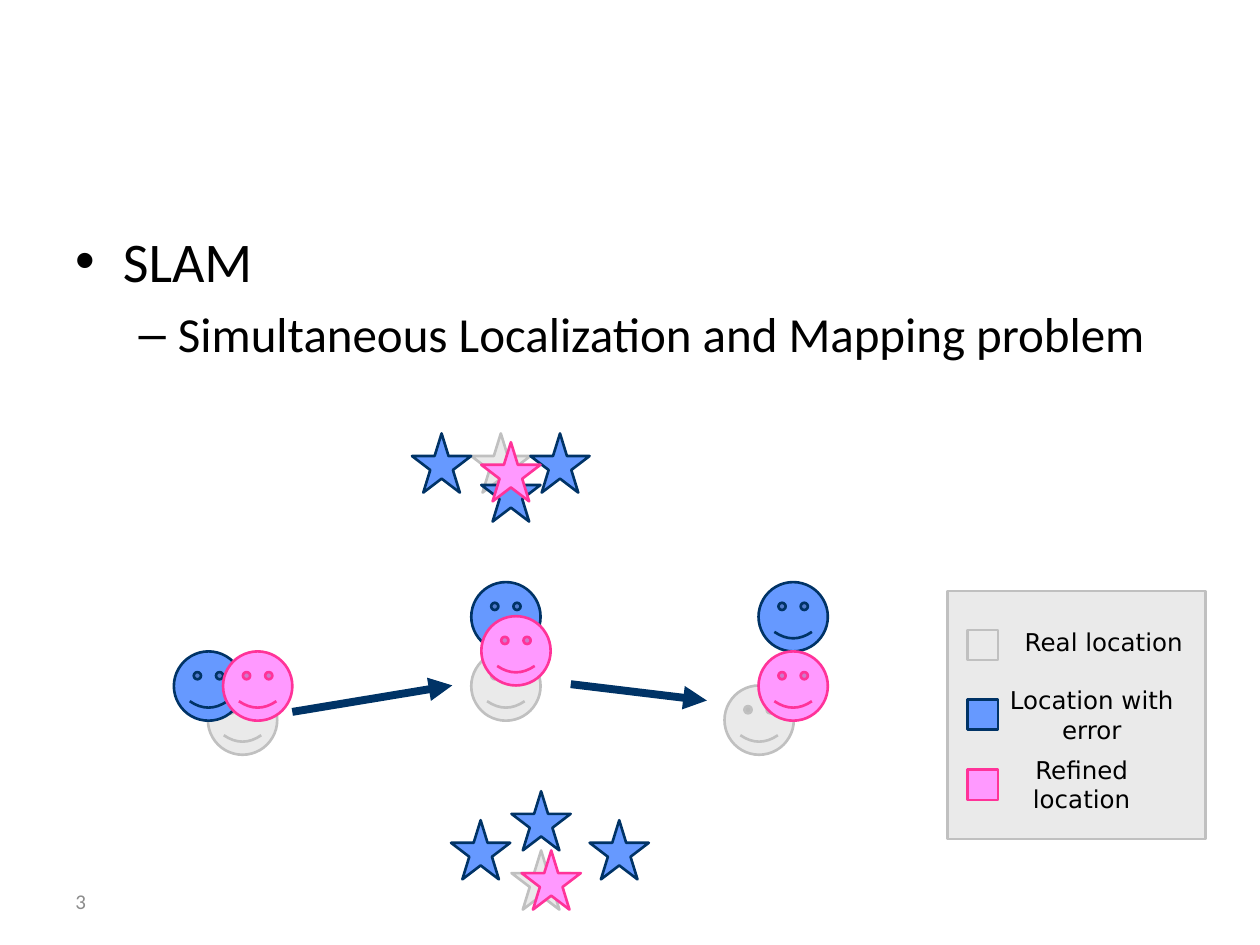
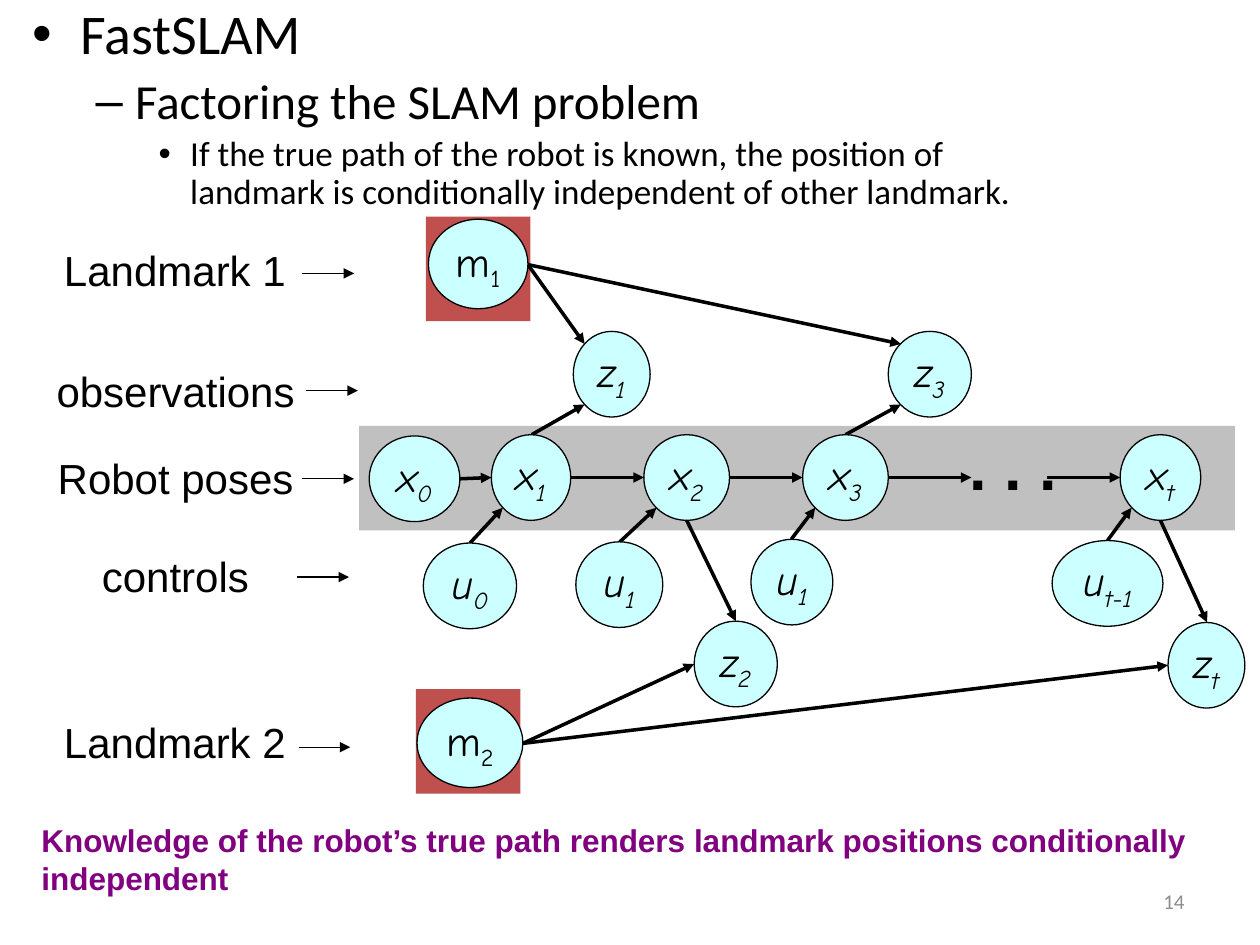
from dataclasses import dataclass
from math import cos, radians, sin

from lxml.etree import SubElement
from pptx import Presentation
from pptx.dml.color import RGBColor
from pptx.enum.shapes import MSO_CONNECTOR, MSO_SHAPE
from pptx.enum.text import MSO_ANCHOR, MSO_AUTO_SIZE, PP_ALIGN
from pptx.oxml.ns import qn
from pptx.presentation import Presentation as Deck
from pptx.shapes.autoshape import Shape
from pptx.slide import Slide
from pptx.text.text import _Paragraph as Paragraph
from pptx.util import Emu, Pt

EMU_PER_PX = 9144
SLIDE_WIDTH, SLIDE_HEIGHT = 1000, 750
BLACK, SILVER, PALE_GRAY = "000000", "C0C0C0", "EAEAEA"
NAVY, NUMBER_GRAY, BRICK, CYAN, PURPLE = "003366", "8C8C8C", "C0504D", "CCFFFF", "800080"
BODY_FONT, LABEL_FONT, LEGEND_FONT, NODE_FONT = "Calibri", "Arial", "DejaVu Sans", "Comic Neue"
LEVEL_SIZES = (32, 28, 20)
FACE_SIZE, STAR_SIZE, SWATCH_SIZE = 55, 47, 24
SITE_ANGLES = {"right": 0, "bottom right": 45, "bottom": 90, "bottom left": 135,
               "left": 180, "top left": 225, "top": 270, "top right": 315}


@dataclass(frozen=True)
class Box:
    left: int
    top: int
    width: int
    height: int

    def emu(self) -> tuple[Emu, Emu, Emu, Emu]:
        return px(self.left), px(self.top), px(self.width), px(self.height)

    def site(self, name: str) -> tuple[int, int]:
        angle = radians(SITE_ANGLES[name])
        return (round(self.left + self.width / 2 * (1 + cos(angle))),
                round(self.top + self.height / 2 * (1 + sin(angle))))


@dataclass(frozen=True)
class TextStyle:
    font: str
    size: int
    color: str = BLACK
    bold: bool = False
    italic: bool = False
    align: PP_ALIGN = PP_ALIGN.LEFT


@dataclass(frozen=True)
class Estimate:
    fill: str
    line: str
    label: str
    label_box: Box
    wraps: bool = True


@dataclass(frozen=True)
class Marks:
    estimate: Estimate
    kind: MSO_SHAPE
    size: int
    corners: tuple[tuple[int, int], ...]


@dataclass(frozen=True)
class Node:
    letter: str
    index: str
    box: Box


@dataclass(frozen=True)
class Edge:
    source: str
    source_site: str
    target: str
    target_site: str


@dataclass(frozen=True)
class RowLabel:
    text: str
    box: Box
    arrow_left: int
    arrow_y: int


REAL = Estimate(PALE_GRAY, SILVER, "Real location", Box(795, 493, 162, 33), False)
ERROR = Estimate("6699FF", NAVY, "Location with error", Box(784, 539, 165, 57))
REFINED = Estimate("FF99FF", "FF3399", "Refined location", Box(776, 594, 165, 57))

FACE, STAR = MSO_SHAPE.SMILEY_FACE, MSO_SHAPE.STAR_5_POINT
LOCATIONS = (
    Marks(REAL, FACE, FACE_SIZE, ((165, 544), (575, 544), (374, 517))),
    Marks(ERROR, FACE, FACE_SIZE, ((138, 517), (374, 462), (602, 462))),
    Marks(REAL, STAR, STAR_SIZE, ((374, 344), (406, 675))),
    Marks(ERROR, STAR, STAR_SIZE, ((421, 344), (327, 344), (382, 367),
                                   (358, 651), (406, 628), (468, 651))),
    Marks(REFINED, FACE, FACE_SIZE, ((602, 517), (177, 517), (382, 489))),
    Marks(REFINED, STAR, STAR_SIZE, ((382, 351), (414, 675))),
)
ROBOT_MOVES = (((232, 565), (359, 544)), ((453, 543), (561, 556)))

NODES = {
    "x0": Node("x", "0", Box(293, 346, 72, 68)),
    "x1": Node("x", "1", Box(390, 345, 63, 68)),
    "x2": Node("x", "2", Box(511, 345, 68, 68)),
    "x3": Node("x", "3", Box(637, 345, 68, 68)),
    "xt": Node("x", "t", Box(889, 345, 64, 68)),
    "u0": Node("u", "0", Box(336, 431, 74, 68)),
    "u1": Node("u", "1", Box(457, 430, 69, 68)),
    "u2": Node("u", "1", Box(596, 428, 65, 68)),
    "ut": Node("u", "t-1", Box(835, 429, 88, 68)),
    "z1": Node("z", "1", Box(455, 263, 61, 68)),
    "z2": Node("z", "2", Box(551, 493, 66, 68)),
    "z3": Node("z", "3", Box(705, 263, 66, 68)),
    "zt": Node("z", "t", Box(927, 494, 61, 68)),
    "m1": Node("m", "1", Box(340, 174, 79, 71)),
    "m2": Node("m", "2", Box(331, 554, 84, 71)),
}
EDGES = (
    *(Edge(a, "right", b, "left") for a, b in
      (("x0", "x1"), ("x1", "x2"), ("x2", "x3"), ("m2", "z2"), ("m2", "zt"))),
    *(Edge(a, "top", b, "bottom left") for a, b in
      (("u0", "x1"), ("u1", "x2"), ("u2", "x3"), ("ut", "xt"), ("x1", "z1"), ("x3", "z3"))),
    *(Edge("m1", "right", z, "top left") for z in ("z1", "z3")),
    *(Edge(a, "bottom", b, "top") for a, b in (("x2", "z2"), ("xt", "zt"))),
)
ROW_LABELS = (
    RowLabel("Landmark 1", Box(41, 189, 196, 50), 240, 217),
    RowLabel("observations", Box(35, 285, 209, 50), 243, 310),
    RowLabel("Robot poses", Box(36, 354, 207, 50), 240, 380),
    RowLabel("controls", Box(71, 432, 137, 50), 236, 458),
    RowLabel("Landmark 2", Box(41, 564, 196, 50), 237, 593),
)
ROW_ARROW_LENGTH = 41


def px(length: int) -> Emu:
    return Emu(length * EMU_PER_PX)


def rgb(color: str) -> RGBColor:
    return RGBColor.from_string(color)


def style_paragraph(paragraph: Paragraph, style: TextStyle) -> None:
    paragraph.alignment = style.align
    font = paragraph.font
    font.name, font.size = style.font, Pt(style.size)
    font.bold, font.italic = style.bold, style.italic
    font.color.rgb = rgb(style.color)


def add_text(slide: Slide, box: Box, text: str, style: TextStyle,
             wraps: bool = True, anchor: MSO_ANCHOR = MSO_ANCHOR.TOP) -> None:
    frame = slide.shapes.add_textbox(*box.emu()).text_frame
    frame.word_wrap, frame.vertical_anchor = wraps, anchor
    frame.text = text
    style_paragraph(frame.paragraphs[0], style)


def add_figure(slide: Slide, kind: MSO_SHAPE, box: Box, fill: str,
               line: str | None = None, line_width: float = 1.5) -> Shape:
    figure = slide.shapes.add_shape(kind, *box.emu())
    figure.shadow.inherit = False
    figure.fill.solid()
    figure.fill.fore_color.rgb = rgb(fill)
    if line is None:
        figure.line.fill.background()
    else:
        figure.line.color.rgb = rgb(line)
        figure.line.width = Pt(line_width)
    return figure


def add_arrow(slide: Slide, start: tuple[int, int], end: tuple[int, int],
              color: str, width: float) -> None:
    arrow = slide.shapes.add_connector(
        MSO_CONNECTOR.STRAIGHT, *(px(length) for length in (*start, *end)))
    arrow.line.color.rgb = rgb(color)
    arrow.line.width = Pt(width)
    properties = arrow.element.spPr
    SubElement(properties.find(qn("a:ln")), qn("a:tailEnd"), type="triangle")
    SubElement(properties, qn("a:effectLst"))


def add_node(slide: Slide, node: Node) -> None:
    ellipse = add_figure(slide, MSO_SHAPE.OVAL, node.box, CYAN, BLACK, 0.75)
    frame = ellipse.text_frame
    frame.word_wrap, frame.vertical_anchor = False, MSO_ANCHOR.MIDDLE
    paragraph = frame.paragraphs[0]
    style_paragraph(paragraph, TextStyle(NODE_FONT, 24, italic=node.letter != "m",
                                         align=PP_ALIGN.CENTER))
    paragraph.add_run().text = node.letter
    subscript = paragraph.add_run()
    subscript.text = node.index
    subscript.font._element.set("baseline", "-25000")


def add_outline_slide(deck: Deck, box: Box, outline: tuple[str, ...], number: str,
                      number_left: int, number_align: PP_ALIGN,
                      line_spacing: float = 1.0) -> Slide:
    slide = deck.slides.add_slide(deck.slide_layouts[1])
    title = slide.shapes.title.element
    title.getparent().remove(title)
    body = slide.placeholders[1]
    body.left, body.top, body.width, body.height = box.emu()
    frame = body.text_frame
    frame.auto_size = MSO_AUTO_SIZE.NONE
    frame.text = "\n".join(outline)
    for level, paragraph in enumerate(frame.paragraphs):
        paragraph.level = level
        paragraph.line_spacing = line_spacing
        style_paragraph(paragraph, TextStyle(BODY_FONT, LEVEL_SIZES[level]))
    add_text(slide, Box(number_left, 695, 233, 40), number,
             TextStyle(BODY_FONT, 12, NUMBER_GRAY, align=number_align),
             anchor=MSO_ANCHOR.MIDDLE)
    return slide


def build_slam_slide(deck: Deck) -> None:
    slide = add_outline_slide(
        deck, Box(50, 175, 900, 495),
        ("SLAM", "Simultaneous Localization and Mapping problem"),
        "3", 50, PP_ALIGN.LEFT)
    for marks in LOCATIONS:
        for left, top in marks.corners:
            add_figure(slide, marks.kind, Box(left, top, marks.size, marks.size),
                       marks.estimate.fill, marks.estimate.line)
    for start, end in ROBOT_MOVES:
        add_arrow(slide, start, end, NAVY, 4.5)

    add_figure(slide, MSO_SHAPE.RECTANGLE, Box(752, 469, 205, 197), PALE_GRAY, SILVER)
    legend_style = TextStyle(LEGEND_FONT, 14, align=PP_ALIGN.CENTER)
    for row, estimate in enumerate((REAL, ERROR, REFINED)):
        swatch = Box(768, 500 + row * 111 // 2, SWATCH_SIZE, SWATCH_SIZE)
        add_figure(slide, MSO_SHAPE.RECTANGLE, swatch, estimate.fill, estimate.line)
        add_text(slide, estimate.label_box, estimate.label, legend_style, estimate.wraps)


def build_fastslam_slide(deck: Deck) -> None:
    slide = add_outline_slide(
        deck, Box(16, 0, 846, 180),
        ("FastSLAM", "Factoring the SLAM problem",
         "If the true path of the robot is known, the position of landmark is "
         "conditionally independent of other landmark."),
        "14", 717, PP_ALIGN.RIGHT, 0.9)
    for left, top in ((338, 172), (330, 547)):
        add_figure(slide, MSO_SHAPE.RECTANGLE, Box(left, top, 83, 83), BRICK)
    add_text(slide, Box(23, 647, 958, 103),
             "Knowledge of the robot’s true path renders landmark positions "
             "conditionally independent", TextStyle(LABEL_FONT, 18, PURPLE, bold=True))
    add_figure(slide, MSO_SHAPE.RECTANGLE, Box(285, 338, 695, 83), SILVER)

    for edge in EDGES:
        add_arrow(slide, NODES[edge.source].box.site(edge.source_site),
                  NODES[edge.target].box.site(edge.target_site), BLACK, 2)
    add_arrow(slide, NODES["x3"].box.site("right"), (771, 379), BLACK, 2)
    add_arrow(slide, (831, 379), NODES["xt"].box.site("left"), BLACK, 2)
    add_text(slide, Box(760, 334, 90, 70), ". . .",
             TextStyle(LABEL_FONT, 36, bold=True), wraps=False)

    for label in ROW_LABELS:
        add_text(slide, label.box, label.text, TextStyle(LABEL_FONT, 24), wraps=False)
        add_arrow(slide, (label.arrow_left, label.arrow_y),
                  (label.arrow_left + ROW_ARROW_LENGTH, label.arrow_y), BLACK, 0.75)
    for node in NODES.values():
        add_node(slide, node)


def main() -> None:
    deck = Presentation()
    deck.slide_width, deck.slide_height = px(SLIDE_WIDTH), px(SLIDE_HEIGHT)
    build_slam_slide(deck)
    build_fastslam_slide(deck)
    deck.save("out.pptx")


if __name__ == "__main__":
    main()
